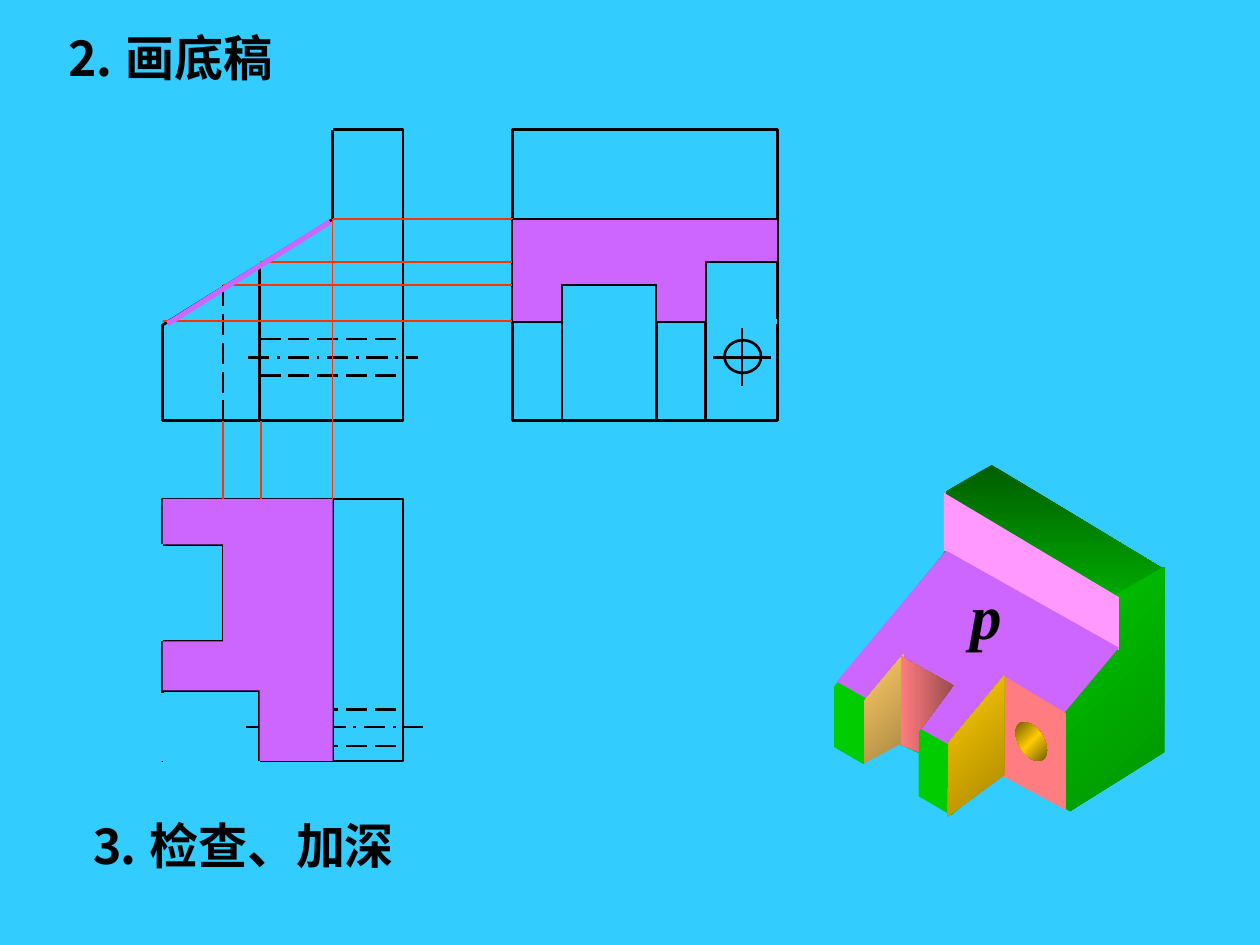
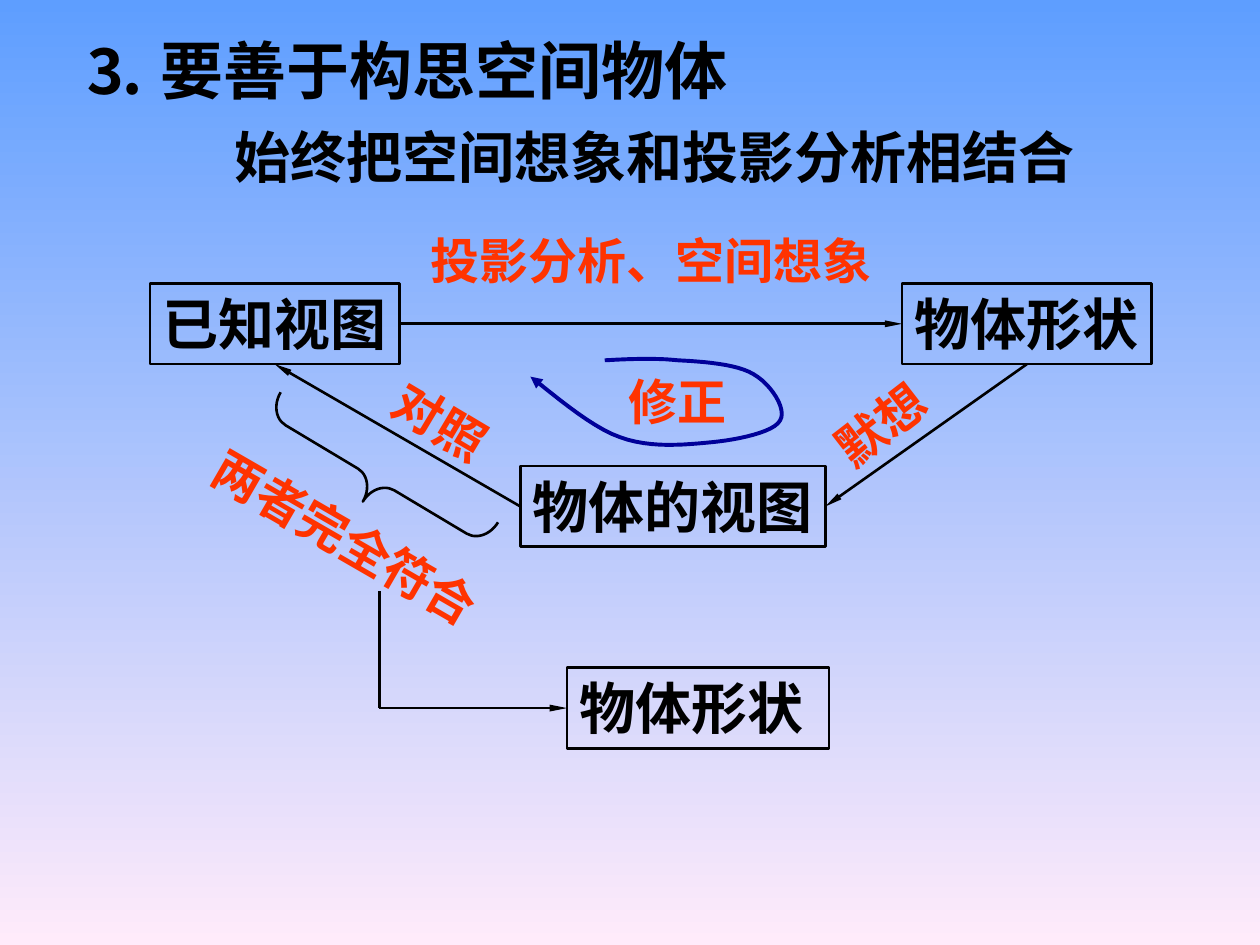
from copy import deepcopy
from math import cos, pi, sin

from pptx import Presentation
from pptx.dml.color import RGBColor
from pptx.enum.dml import MSO_LINE
from pptx.enum.shapes import MSO_CONNECTOR, MSO_SHAPE
from pptx.enum.text import MSO_ANCHOR, MSO_AUTO_SIZE, PP_ALIGN
from pptx.oxml.ns import qn
from pptx.util import Cm, Pt
from lxml import etree

STRAIGHT = MSO_CONNECTOR.STRAIGHT
RECTANGLE, ELLIPSE, BRACE = MSO_SHAPE.RECTANGLE, MSO_SHAPE.OVAL, MSO_SHAPE.LEFT_BRACE
DASH, DASH_DOT = MSO_LINE.LONG_DASH, MSO_LINE.LONG_DASH_DOT
TOP, LEFT_ALIGN = MSO_ANCHOR.TOP, PP_ALIGN.LEFT
FIT = MSO_AUTO_SIZE.SHAPE_TO_FIT_TEXT
BOTTOM_SIDE, LEFT_SIDE, RIGHT_SIDE = 2, 1, 3

FONT = "Times New Roman"
BLACK = RGBColor(0x00, 0x00, 0x00)
SKY = RGBColor(0x33, 0xCC, 0xFF)
RED = RGBColor(0xFF, 0x33, 0x00)
NAVY = RGBColor(0x00, 0x00, 0x99)
PURPLE = RGBColor(0xCC, 0x66, 0xFF)
PINK = RGBColor(0xFF, 0x99, 0xFF)
SALMON = RGBColor(0xFF, 0x7C, 0x80)
DARK_SALMON = RGBColor(0x9A, 0x4B, 0x4D)
GREEN = RGBColor(0x00, 0xCC, 0x00)
MID_GREEN = RGBColor(0x00, 0x8F, 0x00)
DARK_GREEN = RGBColor(0x00, 0x5E, 0x00)
GOLD = RGBColor(0xFF, 0xCC, 0x00)
DARK_GOLD = RGBColor(0xA9, 0x87, 0x00)
BROWN = RGBColor(0x75, 0x5E, 0x00)
SAND = RGBColor(0xFF, 0xCC, 0x66)
DARK_SAND = RGBColor(0xA9, 0x87, 0x43)
DAY_BLUE = RGBColor(0x5E, 0x9E, 0xFF)
BLUSH = RGBColor(0xFF, 0xEB, 0xFA)

# Slide 1: grid of the three views, on a 2.54 cm unit
LEFT, SLOT, STEP, SLOPE, RIGHT = 1.29, 1.77, 2.06, 2.64, 3.2
HIGH, BEND, STEP_Y, SLOT_Y, LOW, BASE = 1.03, 1.74, 2.08, 2.26, 2.55, 3.34
SIDE_L, GAP_L, GAP_R, NOTCH, SIDE_R = 4.07, 4.46, 5.21, 5.6, 6.17
PLAN_T, PLAN_SLOT, PLAN_ARM, PLAN_STEP, PLAN_B = 3.96, 4.32, 5.09, 5.48, 6.04

VIEWS = [(LEFT, HIGH, RIGHT, BASE), (SIDE_L, HIGH, SIDE_R, BASE),
         (LEFT, PLAN_T, RIGHT, PLAN_B)]
DRAFT_LINES = [
    (5.89, 2.6, 5.89, 3.06), (5.66, 2.84, 6.12, 2.84),
    (SLOPE, PLAN_T, SLOPE, PLAN_B), (STEP, 2.1, STEP, BASE),
    (SIDE_L, BEND, SIDE_R, BEND), (SIDE_L, LOW, SIDE_R, LOW),
]
CENTRE_LINES = [(1.95, 5.77, 3.36, 5.77), (1.97, 2.84, 3.32, 2.84)]
HIDDEN_LINES = [(SLOT, SLOT_Y, SLOT, BASE)] + [
    (STEP, y, RIGHT, y) for y in (2.69, 2.98, 5.63, 5.92)]
ERASED_LINES = [
    (LEFT, 0.93, LEFT, 2.57), (1.16, HIGH, SLOPE, HIGH),
    (LEFT, PLAN_ARM, LEFT, PLAN_SLOT), (GAP_L, LOW, GAP_R, LOW),
    (LEFT, 5.5, LEFT, PLAN_B), (LEFT, PLAN_B, STEP, PLAN_B),
    (NOTCH, LOW, SIDE_R, LOW),
]
FINAL_LINES = [
    (SLOPE, HIGH, SLOPE, BEND), (SLOPE, BEND, LEFT, 2.58),
    (LEFT, PLAN_SLOT, SLOT, PLAN_SLOT), (SLOT, PLAN_SLOT, SLOT, PLAN_ARM),
    (LEFT, PLAN_ARM, SLOT, PLAN_ARM), (LEFT, PLAN_STEP, STEP, PLAN_STEP),
    (STEP, PLAN_STEP, STEP, PLAN_B), (GAP_L, SLOT_Y, GAP_R, SLOT_Y),
    (GAP_L, SLOT_Y, GAP_L, BASE), (GAP_R, SLOT_Y, GAP_R, BASE),
    (NOTCH, STEP_Y, SIDE_R, STEP_Y), (NOTCH, STEP_Y, NOTCH, BASE),
]
PROJECTION_LINES = [
    (SLOPE, BEND, SIDE_L, BEND), (LEFT, LOW, SIDE_L, LOW),
    (SLOT, SLOT_Y, GAP_L, SLOT_Y), (STEP, STEP_Y, NOTCH, STEP_Y),
    (SLOPE, BEND, SLOPE, PLAN_T), (SLOT, PLAN_SLOT, SLOT, BASE),
    (2.07, PLAN_STEP, 2.07, BASE),
]
PLAN_FACE = [(LEFT, PLAN_T), (SLOPE, PLAN_T), (SLOPE, PLAN_B), (STEP, PLAN_B),
             (STEP, PLAN_STEP), (LEFT, PLAN_STEP), (LEFT, PLAN_ARM),
             (SLOT, PLAN_ARM), (SLOT, PLAN_SLOT), (LEFT, PLAN_SLOT)]
SIDE_FACE = [(SIDE_L, BEND), (SIDE_R, BEND), (SIDE_R, STEP_Y), (NOTCH, STEP_Y),
             (NOTCH, LOW), (GAP_R, LOW), (GAP_R, SLOT_Y), (GAP_L, SLOT_Y),
             (GAP_L, LOW), (SIDE_L, LOW)]

# Solid body, back to front: outline, colours, gradient angle
HOLE = [(8.185 + 0.125 * cos(k * pi / 16), 5.885 + 0.155 * sin(k * pi / 16 + 0.47))
        for k in range(32)]
BODY_FACES = [
    ([(7.87, 3.69), (6.62, 4.42), (8.01, 5.22), (9.24, 4.52)], [DARK_GREEN, GREEN], 90),
    ([(9.24, 4.5), (9.24, 5.97), (8.01, 6.74), (8.01, 5.2)], [MID_GREEN, GREEN], 225),
    ([(6.62, 4.41), (6.62, 5.93), (8.01, 6.74), (8.01, 5.22)], [GREEN], 0),
    ([(7.51, 3.89), (7.49, 4.39), (6.6, 5.47), (6.43, 4.27), (6.49, 4.04)], [SKY], 0),
    ([(7.49, 3.91), (7.49, 4.37), (8.88, 5.16), (8.88, 4.74)], [PINK], 0),
    ([(7.51, 4.37), (8.88, 5.14), (8.01, 6.18), (6.64, 5.41)], [PURPLE], 0),
    ([(7.93, 6.14), (8.64, 6.52), (7.89, 6.87), (7.45, 6.56)], [SKY], 0),
    ([(7.96, 5.36), (8.46, 5.66), (8.46, 6.43), (7.96, 6.16)], [SALMON], 0),
    ([(7.53, 5.89), (7.52, 6.48), (7.97, 6.15), (7.97, 5.36)], [DARK_GOLD, GOLD], 225),
    (HOLE, [BROWN, GOLD, BROWN], 225),
    ([(6.86, 5.56), (7.17, 5.19), (7.17, 5.9), (6.86, 6.08)], [DARK_SAND, SAND], 225),
    ([(7.14, 5.91), (6.75, 6.12), (7.29, 6.38), (7.29, 5.98)], [SKY], 0),
    ([(7.15, 5.21), (7.57, 5.44), (7.29, 5.81), (7.29, 5.97), (7.15, 5.91)],
     [DARK_SALMON, SALMON], 180),
]
DRAFT_TEXTS = [
    ("⒉ 画底稿", (0.42, 0.17, 1.84, 0.57), {}),
    ("⒊ 检查、加深", (0.61, 6.42, 2.62, 0.57), {}),
    ("p", (7.6, 4.53, 0.45, 0.7), {"size": 36, "italic": True}),
]

# Slide 2: headings, labels, boxes and the arrows between them
IDEA_TEXTS = [
    ("⒊ 要善于构思空间物体", (0.56, 0.2, 5.31, 0.7), {"size": 36}),
    ("始终把空间想象和投影分析相结合", (1.76, 0.92, 6.87, 0.64), {"size": 32}),
    ("投影分析、空间想象", (3.32, 1.78, 3.69, 0.57), {"color": RED}),
    ("默想", (6.5, 3.08, 0.97, 0.57), {"color": RED, "rotation": 322.3}),
    ("对照", (3.01, 3.06, 0.97, 0.57), {"color": RED, "rotation": 30.9}),
    ("修正", (4.89, 2.9, 0.99, 0.57), {"color": RED}),
    ("两者完全符合", (1.48, 3.98, 2.53, 0.57), {"color": RED, "rotation": 30}),
]
STAGES = {
    "known": ("已知视图", (1.19, 2.25, 1.98, 0.64)),
    "shape": ("物体形状", (7.16, 2.25, 1.98, 0.64)),
    "view": ("物体的视图", (4.13, 3.7, 2.42, 0.64)),
    "result": ("物体形状", (4.5, 5.3, 2.08, 0.64)),
}
STAGE_ARROWS = [("known", RIGHT_SIDE, "shape", LEFT_SIDE),
                ("shape", BOTTOM_SIDE, "view", RIGHT_SIDE),
                ("view", LEFT_SIDE, "known", BOTTOM_SIDE)]
RESULT_CORNER = (3.01, 5.62)
LOOP = [(4.8, 2.86), (4.99, 2.85), (5.19, 2.84), (5.38, 2.86), (5.58, 2.87),
        (5.85, 2.89), (5.98, 2.97), (6.12, 3.05), (6.25, 3.25), (6.19, 3.34),
        (6.14, 3.43), (5.86, 3.49), (5.65, 3.51), (5.44, 3.53), (5.16, 3.56),
        (4.92, 3.47), (4.68, 3.39), (4.32, 3.07), (4.21, 2.99)]


def units(*values):
    return [Cm(2.54 * value) for value in values]


def paint(fill, element, colors, angle=0):
    """Solid for one colour, evenly spaced gradient for more."""
    if len(colors) == 1:
        fill.solid()
        fill.fore_color.rgb = colors[0]
        return
    fill.gradient()
    fill.gradient_angle = 360 - angle
    stop_list = next(element.iter(qn("a:gsLst")))
    while len(stop_list) < len(colors):
        stop_list.append(deepcopy(stop_list[0]))
    for k, (stop, color) in enumerate(zip(fill.gradient_stops, colors)):
        stop.color.rgb = color
        stop.position = k / (len(colors) - 1)


def outline(shape, color=BLACK, width=1.5):
    shape.line.color.rgb = color
    shape.line.width = Pt(width)


def arrowhead(shape, width="sm", length="lg"):
    etree.SubElement(shape.line._get_or_add_ln(), qn("a:tailEnd"),
                     type="triangle", w=width, len=length)


def add_line(slide, ends, color=BLACK, width=1.5, dash=None):
    line = slide.shapes.add_connector(STRAIGHT, *units(*ends))
    outline(line, color, width)
    if dash:
        line.line.dash_style = dash
    etree.SubElement(line._element.spPr, qn("a:effectLst"))
    return line


def add_preset(slide, kind, box):
    shape = slide.shapes.add_shape(kind, *units(*box))
    shape.shadow.inherit = False
    shape.fill.background()
    outline(shape)
    return shape


def add_outline(slide, points, close=True):
    corners = [units(*point) for point in points]
    builder = slide.shapes.build_freeform(*corners[0], scale=1.0)
    builder.add_line_segments(corners[1:], close=close)
    shape = builder.convert_to_shape()
    shape.shadow.inherit = False
    return shape


def add_face(slide, points, colors, angle=0):
    face = add_outline(slide, points)
    paint(face.fill, face._element, colors, angle)
    face.line.fill.background()
    return face


def add_text(slide, words, box, size=28, color=BLACK, italic=False,
             rotation=0, framed=False):
    shape = (add_preset(slide, RECTANGLE, box) if framed
             else slide.shapes.add_textbox(*units(*box)))
    shape.rotation = rotation
    frame = shape.text_frame
    frame.word_wrap = True
    frame.margin_right = 0  # spare width keeps each text on one line
    frame.auto_size = FIT
    frame.vertical_anchor = TOP
    paragraph = frame.paragraphs[0]
    paragraph.alignment = LEFT_ALIGN
    run = paragraph.add_run()
    run.text = words
    font = run.font
    font.name, font.size, font.bold, font.italic = FONT, Pt(size), True, italic
    font.color.rgb = color
    return shape


def curve(points, steps=12):
    """Points along joined cubic Bezier pieces."""
    result = [points[0]]
    for k in range(0, len(points) - 1, 3):
        a, b, c, d = points[k:k + 4]
        for t in (n / steps for n in range(1, steps + 1)):
            s = 1 - t
            result.append(tuple(s**3 * a[i] + 3 * s * s * t * b[i]
                                + 3 * s * t * t * c[i] + t**3 * d[i] for i in (0, 1)))
    return result


def build_draft(slide):
    paint(slide.background.fill, slide._element, [SKY])
    # Three views
    for x1, y1, x2, y2 in VIEWS:
        add_preset(slide, RECTANGLE, (x1, y1, x2 - x1, y2 - y1))
    add_preset(slide, ELLIPSE, (5.75, 2.7, 0.29, 0.26))
    for lines, style in [
        (DRAFT_LINES, {}),
        (CENTRE_LINES, {"dash": DASH_DOT}),
        (HIDDEN_LINES, {"dash": DASH}),
        (ERASED_LINES, {"color": SKY, "width": 3}),
        (FINAL_LINES, {}),
        (PROJECTION_LINES, {"color": RED, "width": 1}),
    ]:
        for ends in lines:
            add_line(slide, ends, **style)
    # Face p in each view
    add_face(slide, PLAN_FACE, [PURPLE])
    add_line(slide, (1.33, 2.57, 2.62, 1.76), color=PURPLE, width=3)
    outline(add_face(slide, SIDE_FACE, [PURPLE]), width=0.75)
    # Solid body and texts
    for points, colors, angle in BODY_FACES:
        add_face(slide, points, colors, angle)
    for words, box, style in DRAFT_TEXTS:
        add_text(slide, words, box, **style)


def build_idea(slide):
    paint(slide.background.fill, slide._element, [DAY_BLUE, BLUSH], 90)
    stages = {key: add_text(slide, words, box, size=32, framed=True)
              for key, (words, box) in STAGES.items()}
    # Arrows between the stages
    for start, start_side, end, end_side in STAGE_ARROWS:
        arrow = add_line(slide, (0, 0, 1, 1))
        arrow.begin_connect(stages[start], start_side)
        arrow.end_connect(stages[end], end_side)
        arrowhead(arrow)
    add_line(slide, (*RESULT_CORNER, RESULT_CORNER[0], 4.69))
    arrow = add_line(slide, (*RESULT_CORNER, 4.5, RESULT_CORNER[1]))
    arrow.end_connect(stages["result"], LEFT_SIDE)
    arrowhead(arrow)
    # Correction loop and brace
    loop = add_outline(slide, curve(LOOP), close=False)
    loop.fill.background()
    outline(loop, NAVY, 2.25)
    arrowhead(loop, "med", "med")
    brace = add_preset(slide, BRACE, (2.78, 2.8, 0.41, 2.01))
    brace.adjustments[0] = 0.41
    brace.rotation = 300.9
    for words, box, style in IDEA_TEXTS:
        add_text(slide, words, box, **style)


def main():
    deck = Presentation()
    deck.slide_width, deck.slide_height = Cm(25.4), Cm(19.05)
    for build in (build_draft, build_idea):
        build(deck.slides.add_slide(deck.slide_layouts[6]))
    deck.save("out.pptx")


if __name__ == "__main__":
    main()
